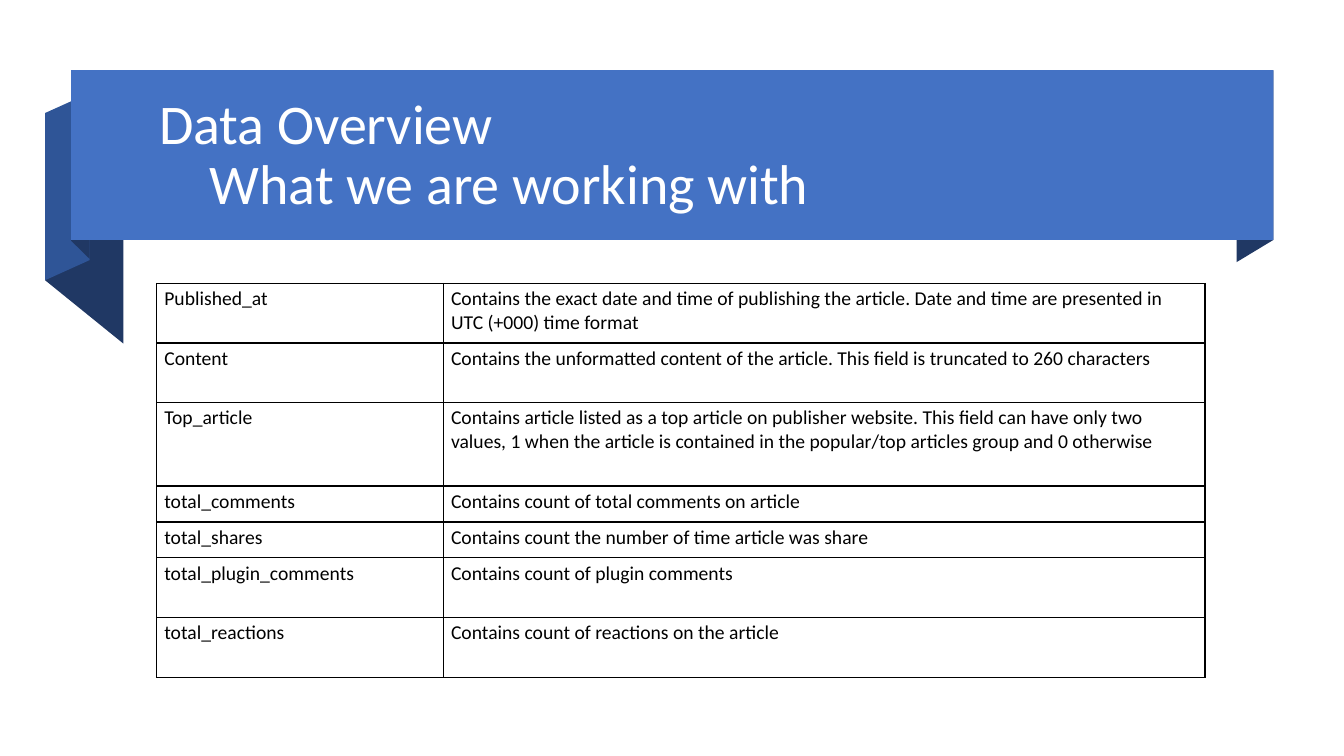
import lxml.etree
import pptx
import pptx.dml.color
import pptx.enum.shapes
import pptx.enum.text
import pptx.oxml.ns
import pptx.util

Pt = pptx.util.Pt
RGB = pptx.dml.color.RGBColor
NAVY = RGB(0x20, 0x38, 0x64)
BLUE = RGB(0x2F, 0x55, 0x97)
SKY = RGB(0x44, 0x72, 0xC4)
WHITE = RGB(0xFF, 0xFF, 0xFF)
BLACK = RGB(0, 0, 0)
FONT = "Calibri"

TITLE = "Data Overview\v\tWhat we are working with"
FIELDS = [
    ("Published_at", "Contains the exact date and time of publishing the article. "
     "Date and time are presented in UTC (+000) time format", 42.6),
    ("Content", "Contains the unformatted content of the article. "
     "This field is truncated to 260 characters", 42.6),
    ("Top_article", "Contains article listed as a top article on publisher website. "
     "This field can have only two values, 1 when the article is contained in the "
     "popular/top articles group and 0 otherwise", 59.6),
    ("total_comments", "Contains count of total comments on article", 25.7),
    ("total_shares", "Contains count the number of time article was share", 25.7),
    ("total_plugin_comments", "Contains count of plugin comments", 42.6),
    ("total_reactions", "Contains count of reactions on the article", 42.6),
]
COLS = (204.8, 544)
FOLDS = [
    (NAVY, 909.6, 171.4, 883.4, 187.2, 121.2),
    (NAVY, 88.2, 245.5, 32.2, 200.2, 119.4),
    (BLUE, 64.1, 185.8, 32.2, 200.2, 119.4),
    (NAVY, 64.1, 185, 50.8, 172, 121.2),
]

deck = pptx.Presentation()
deck.slide_width, deck.slide_height = Pt(960), Pt(540)
slide = deck.slides.add_slide(deck.slide_layouts[6])
shapes = slide.shapes


def paint(shape, color):
    shape.shadow.inherit = False
    shape.fill.solid()
    shape.fill.fore_color.rgb = color
    shape.line.fill.background()


def style(frame, size, color):
    for para in frame.paragraphs:
        for run in para.runs:
            run.font.name = FONT
            run.font.size = Pt(size)
            run.font.color.rgb = color


def edge(cell):
    props = cell._tc.get_or_add_tcPr()
    for side in ("lnL", "lnR", "lnT", "lnB"):
        line = lxml.etree.SubElement(props, pptx.oxml.ns.qn("a:" + side), w=str(Pt(1)))
        fill = lxml.etree.SubElement(line, pptx.oxml.ns.qn("a:solidFill"))
        lxml.etree.SubElement(fill, pptx.oxml.ns.qn("a:srgbClr"), val=str(BLACK))


for color, x1, y1, x2, y2, rise in FOLDS:
    pen = shapes.build_freeform(Pt(x1), Pt(y1))
    pen.add_line_segments(
        [(Pt(x2), Pt(y2)), (Pt(x2), Pt(y2 - rise)), (Pt(x1), Pt(y1 - rise))], close=True)
    paint(pen.convert_to_shape(), color)

band = shapes.add_shape(pptx.enum.shapes.MSO_SHAPE.RECTANGLE,
                        Pt(50.8), Pt(50), Pt(858.8), Pt(121.4))
paint(band, SKY)

head = shapes.add_textbox(Pt(106.7), Pt(59.6), Pt(787.4), Pt(104.4)).text_frame
head.word_wrap = True
head.vertical_anchor = pptx.enum.text.MSO_ANCHOR.MIDDLE
head.text = TITLE
head.paragraphs[0].line_spacing = 0.9
style(head, 40, WHITE)

table = shapes.add_table(len(FIELDS), len(COLS), Pt(112), Pt(202.4),
                         Pt(sum(COLS)), Pt(sum(row[2] for row in FIELDS))).table
table.first_row = table.horz_banding = False
for col, width in zip(table.columns, COLS):
    col.width = Pt(width)
for row, (name, note, height) in zip(table.rows, FIELDS):
    row.height = Pt(height)
    for cell, text in zip(row.cells, (name, note)):
        cell.text = text
        cell.margin_left = cell.margin_right = Pt(5.4)
        cell.margin_top = cell.margin_bottom = Pt(2.7)
        style(cell.text_frame, 14, BLACK)
        edge(cell)
        cell.fill.background()

deck.save("out.pptx")
